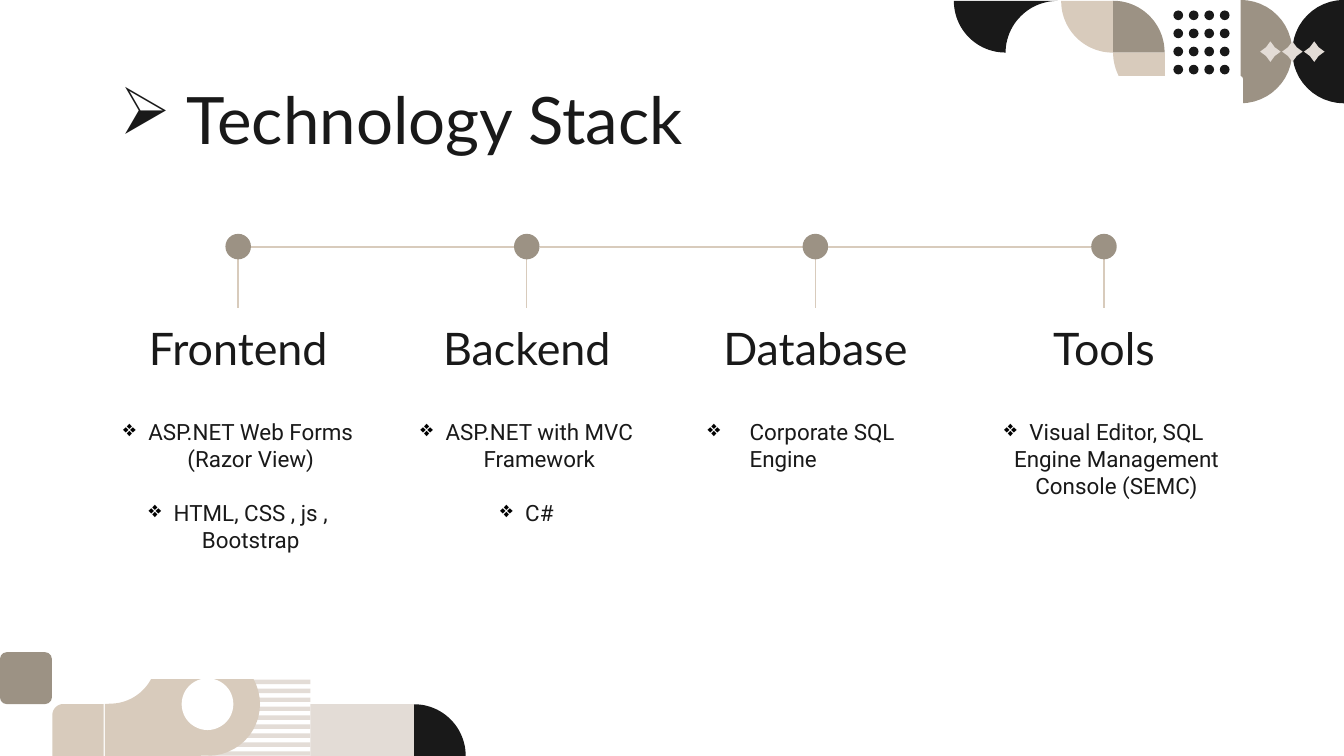
"""Build the Technology Stack slide: four linked columns framed by geometric corners."""
from math import cos, radians, sin

from lxml.etree import SubElement
from pptx import Presentation
from pptx.dml.color import RGBColor
from pptx.enum.shapes import MSO_CONNECTOR as Connector, MSO_SHAPE as Shape
from pptx.enum.text import MSO_ANCHOR as Anchor, MSO_AUTO_SIZE as AutoSize, PP_ALIGN as Align
from pptx.oxml.ns import qn
from pptx.util import Pt

BLACK, TAUPE, SAND, PALE, WHITE = "191919", "9C9284", "D8CBBC", "E3DCD6", "FFFFFF"
TITLE = "Technology Stack"
COLUMNS = [
    {"heading": "Frontend", "items": ["ASP.NET Web Forms (Razor View)", "HTML, CSS , js , Bootstrap"]},
    {"heading": "Backend", "items": ["ASP.NET with MVC Framework", "C#"]},
    {"heading": "Database", "items": ["Corporate SQL Engine"],
     "align": Align.LEFT, "indent": 22.5, "shift": 6.5},
    {"heading": "Tools", "items": ["Visual Editor, SQL Engine Management Console (SEMC)"]},
]
TITLE_STYLE = {"name": "Lato", "size": Pt(35)}
HEADING_STYLE = {"name": "Lato", "size": Pt(24)}
ITEM_STYLE = {"name": "Roboto", "size": Pt(12)}
FIRST_CENTER, PITCH, COLUMN_WIDTH = 127.6, 154.6, 142.6
LINE_Y, DOT, HEADING_TOP, ITEMS_TOP = 132.1, 13.7, 164.9, 216.7
TILE = 27.7


def arc(x, y, radius, start, end, steps=24):
    angles = [radians(start + (end - start) * step / steps) for step in range(steps + 1)]
    return [(x + radius * cos(angle), y + radius * sin(angle)) for angle in angles]


def quarter(x, y, start):
    return [(x, y)] + arc(x, y, TILE, start, start + 90)


TOP_OUTLINES = [
    (TAUPE, arc(664.6, TILE, TILE, -90, 90)),
    (BLACK, arc(720, TILE, TILE, 90, 270)),
    (SAND, quarter(624, 28.1, 90)),
    (TAUPE, quarter(596.2, 28.1, 270)),
    (SAND, quarter(596.2, 0.5, 90)),
    (BLACK, arc(538.7, 0.5, TILE, 180, 90) + arc(566.6, 28.4, 27.9, 180, 270)),
]
BOTTOM_OUTLINES = [
    (SAND, [(28.1, 405)] + arc(33.9, 383, 5.8, 180, 270) + [(55.5, 377.2), (55.5, 405)]),
    (BLACK, quarter(221.8, 405, 270)),
    (SAND, arc(111.6, 377.2, TILE, 90, -90) + [(83.7, 349.5)]
     + arc(59, 352.1, 24.9, 0, 90) + [(56.2, 377.2), (56.2, 405)]),
]


def color(value):
    return RGBColor.from_string(value)


def finish(shape, fill):
    shape.shadow.inherit = False
    shape.fill.solid()
    shape.fill.fore_color.rgb = color(fill)
    shape.line.fill.background()
    return shape


def add_preset(slide, kind, left, top, width, height, fill):
    box = [Pt(value) for value in (left, top, width, height)]
    return finish(slide.shapes.add_shape(kind, *box), fill)


def add_outline(slide, fill, points):
    points = [(Pt(x), Pt(y)) for x, y in points]
    builder = slide.shapes.build_freeform(*points[0])
    builder.add_line_segments(points[1:])
    finish(builder.convert_to_shape(), fill)


def add_line(slide, x1, y1, x2, y2):
    ends = [Pt(value) for value in (x1, y1, x2, y2)]
    line = slide.shapes.add_connector(Connector.STRAIGHT, *ends)
    line.line.color.rgb = color(SAND)
    line.line.width = Pt(0.75)
    SubElement(line._element.spPr, qn("a:effectLst"))
    return line


def place(shape, left, top, width, height):
    for name, value in zip(("left", "top", "width", "height"), (left, top, width, height)):
        setattr(shape, name, Pt(value))


def set_bullet(paragraph, symbol, bullet_color, indent):
    properties = paragraph._p.get_or_add_pPr()
    properties.set("marL", str(Pt(indent)))
    properties.set("indent", str(-Pt(indent)))
    holder = SubElement(properties, qn("a:buClr"))
    SubElement(holder, qn("a:srgbClr")).set("val", bullet_color)
    SubElement(properties, qn("a:buChar")).set("char", symbol)


def write(shape, texts, style, align, bullet=None, gap=0):
    frame = shape.text_frame
    frame.word_wrap = True
    frame.auto_size = AutoSize.NONE
    frame.vertical_anchor = Anchor.TOP
    for side in ("left", "top", "right", "bottom"):
        setattr(frame, f"margin_{side}", Pt(7.2))
    for index, text in enumerate(texts):
        paragraph = frame.add_paragraph() if index else frame.paragraphs[0]
        if bullet:
            set_bullet(paragraph, *bullet)
        paragraph.alignment = align
        paragraph.space_before = Pt(gap if index else 0)
        run = paragraph.add_run()
        run.text = text
        for name, value in style.items():
            setattr(run.font, name, value)
        run.font.color.rgb = color(BLACK)


def add_corners(slide):
    for fill, points in TOP_OUTLINES:
        add_outline(slide, fill, points)
    for index in range(3):
        star = add_preset(slide, Shape.STAR_4_POINT, 675.1 + 11.75 * index, 22.2, 11, 11, PALE)
        star.adjustments[0] = 0.3
    for row in range(4):
        for column in range(4):
            add_preset(slide, Shape.OVAL, 628.6 + 8.3 * column, 5.6 + 9.7 * row, 5.2, 5.2, BLACK)
    tile = add_preset(slide, Shape.ROUNDED_RECTANGLE, 0, 349.4, 27.8, 27.8, TAUPE)
    tile.adjustments[0] = 0.13
    for index in range(10):
        add_preset(slide, Shape.RECTANGLE, 111.6, 359.3 + 4.8 * index, 54.7, 2.4, PALE)
    add_preset(slide, Shape.RECTANGLE, 166.3, 377.2, 55.5, 27.8, PALE)
    for fill, points in BOTTOM_OUTLINES:
        add_outline(slide, fill, points)
    add_preset(slide, Shape.OVAL, 97.3, 363.4, TILE, TILE, WHITE)
    panel = add_preset(slide, Shape.RECTANGLE, 57.6, 42.5, 607, 319.7, WHITE)
    panel.line.color.rgb = color(WHITE)
    panel.line.width = Pt(3)


def add_column(slide, index, column):
    center = FIRST_CENTER + PITCH * index
    left = center - COLUMN_WIDTH / 2
    items = slide.shapes.add_textbox(0, 0, 0, 0)
    place(items, left + column.get("shift", 0), ITEMS_TOP, COLUMN_WIDTH, 67 if index else 104.4)
    bullet = ("❖", "000000", column.get("indent", 13.5))
    write(items, column["items"], ITEM_STYLE, column.get("align", Align.CENTER), bullet, 14.5)
    heading = slide.shapes.add_textbox(0, 0, 0, 0)
    place(heading, left, HEADING_TOP, COLUMN_WIDTH, 72)
    write(heading, [column["heading"]], HEADING_STYLE, Align.CENTER)
    stem = add_line(slide, center, LINE_Y + DOT / 2, center, HEADING_TOP)
    stem.end_connect(heading, 0)
    if index:
        add_line(slide, center - PITCH + DOT / 2, LINE_Y + 0.2, center - DOT / 2, LINE_Y + 0.2)
    add_preset(slide, Shape.OVAL, center - DOT / 2, LINE_Y - DOT / 2, DOT, DOT, TAUPE)


def main():
    presentation = Presentation()
    presentation.slide_width, presentation.slide_height = Pt(720), Pt(405)
    slide = presentation.slides.add_slide(presentation.slide_layouts[5])
    add_corners(slide)
    title = slide.shapes.title
    slide.shapes._spTree.append(title._element)
    place(title, 56.9, 35.3, 607, 45.4)
    write(title, [TITLE], TITLE_STYLE, Align.LEFT, ("➢", BLACK, 36))
    for index, column in enumerate(COLUMNS):
        add_column(slide, index, column)
    presentation.save("out.pptx")


if __name__ == "__main__":
    main()
